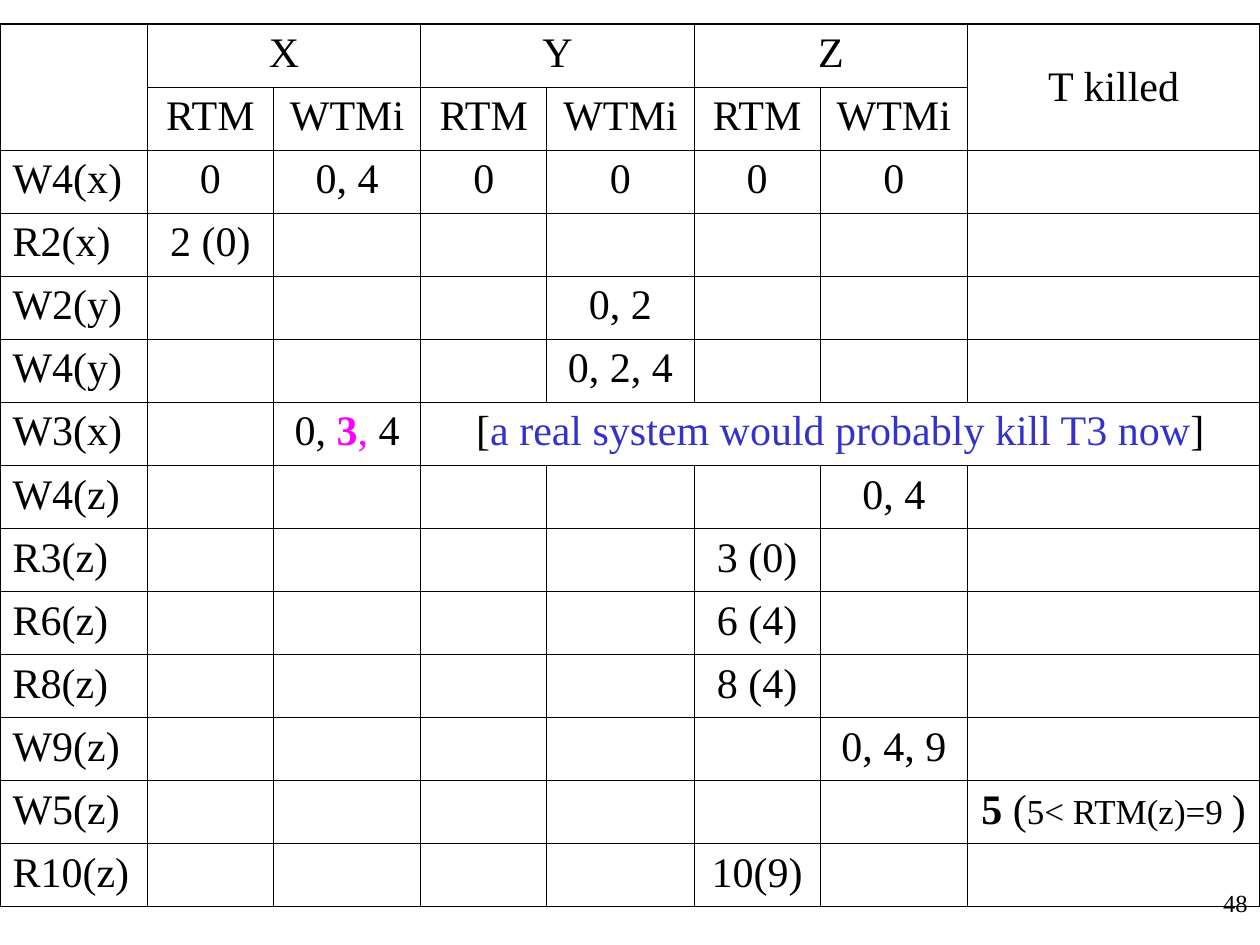
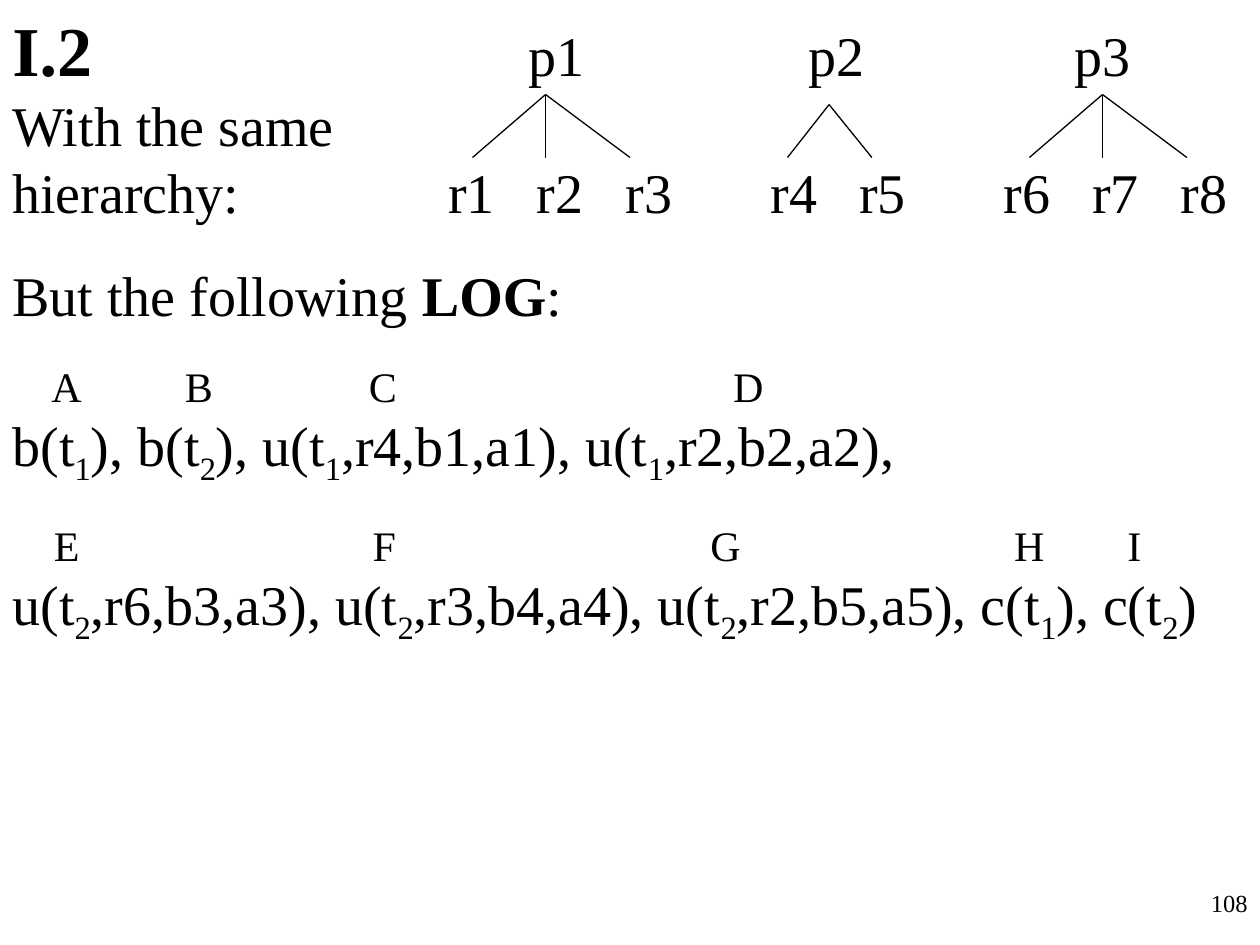
from lxml import etree
from pptx import Presentation
from pptx.dml.color import RGBColor
from pptx.enum.shapes import MSO_CONNECTOR as Connector
from pptx.enum.text import MSO_ANCHOR as Anchor, PP_ALIGN as Align
from pptx.oxml import parse_xml
from pptx.oxml.ns import nsdecls, qn
from pptx.util import Inches, Pt

BLACK = RGBColor(0x00, 0x00, 0x00)
MAGENTA = RGBColor(0xFF, 0x00, 0xFF)
BLUE = RGBColor(0x33, 0x33, 0xCC)
FONT = "Times New Roman"
THIN, THICK = 0.45, 1.08
TABLE_SIZE, BODY_SIZE, LETTER_SIZE = 24, 32, 24

COL_WIDTHS = [1.17, 1, 1.17, 1, 1.17, 1, 1.17, 2.32]
ROW_HEIGHT = 0.5
OPERATIONS = ["W4(x)", "R2(x)", "W2(y)", "W4(y)", "W3(x)", "W4(z)",
              "R3(z)", "R6(z)", "R8(z)", "W9(z)", "W5(z)", "R10(z)"]
TIMESTAMPS = {
    "W4(x)": {1: "0", 2: "0, 4", 3: "0", 4: "0", 5: "0", 6: "0"},
    "R2(x)": {1: "2 (0)"},
    "W2(y)": {4: "0, 2"},
    "W4(y)": {4: "0, 2, 4"},
    "W3(x)": {
        2: [("0, ", {}), ("3", {"color": MAGENTA, "bold": True}),
            (",", {"color": MAGENTA}), (" 4", {})],
        3: [("[", {}),
            ("a real system would probably kill T3 now", {"color": BLUE}),
            ("]", {})],
    },
    "W4(z)": {6: "0, 4"},
    "R3(z)": {5: "3 (0)"},
    "R6(z)": {5: "6 (4)"},
    "R8(z)": {5: "8 (4)"},
    "W9(z)": {6: "0, 4, 9"},
    "W5(z)": {7: [("5", {"bold": True}), (" (", {}),
                  ("5< RTM(z)=9 ", {"size": 20}), (")", {})]},
    "R10(z)": {5: "10(9)"},
}

LEAF_Y = 1.25
TREES = [
    ((4.33, 0.75), [3.75, 4.33, 5]),
    ((6.58, 0.83), [6.25, 6.92]),
    ((8.75, 0.75), [8.17, 8.75, 9.42]),
]


def add_run(p, text, size, bold=False, color=BLACK, sub=False):
    r = p.add_run()
    r.text = text
    r.font.name = FONT
    r.font.size = Pt(size)
    r.font.bold = bold
    r.font.color.rgb = color
    if sub:
        r.font._element.set("baseline", "-25000")


def add_runs(p, content, size):
    runs = [(content, {})] if isinstance(content, str) else content
    for text, style in runs:
        add_run(p, text, **{"size": size, **style})


def set_tabs(p, stops):
    tabs = etree.SubElement(p._p.get_or_add_pPr(), qn("a:tabLst"))
    for stop in stops:
        etree.SubElement(tabs, qn("a:tab"), pos=str(Inches(stop)), algn="l")


def add_text_box(slide, left, top, width, height):
    tf = slide.shapes.add_textbox(
        Inches(left), Inches(top), Inches(width), Inches(height)).text_frame
    tf.word_wrap = True
    return tf


def add_page_number(slide, number):
    p = add_text_box(slide, 7.92, 7, 2.08, 0.5).paragraphs[0]
    p.alignment = Align.RIGHT
    add_run(p, number, 14)


def add_line(slide, start, end):
    line = slide.shapes.add_connector(
        Connector.STRAIGHT, *(Inches(v) for v in (*start, *end)))
    line.line.color.rgb = BLACK
    line.line.width = Pt(0.75)
    etree.SubElement(line._element.spPr, qn("a:effectLst"))


def set_borders(cell, widths):
    tc_pr = cell._tc.get_or_add_tcPr()
    for i, (side, width) in enumerate(widths.items()):
        tc_pr.insert(i, parse_xml(
            f'<a:ln{side} {nsdecls("a")} w="{Pt(width)}"><a:solidFill>'
            f'<a:srgbClr val="{BLACK}"/></a:solidFill></a:ln{side}>'))


def fill_cell(cell, content, align=Align.CENTER):
    p = cell.text_frame.paragraphs[0]
    p.alignment = align
    add_runs(p, content, TABLE_SIZE)


def add_timestamp_table(slide):
    n_rows, n_cols = len(OPERATIONS) + 2, len(COL_WIDTHS)
    table = slide.shapes.add_table(
        n_rows, n_cols, Inches(0), Inches(0.19),
        Inches(sum(COL_WIDTHS)), Inches(ROW_HEIGHT * n_rows)).table
    table.first_row = table.horz_banding = False
    for col, width in zip(table.columns, COL_WIDTHS):
        col.width = Inches(width)
    for i, row in enumerate(table.rows):
        row.height = Inches(ROW_HEIGHT)
        for j, cell in enumerate(row.cells):
            cell.fill.background()
            set_borders(cell, {
                "L": THICK if j == 0 else THIN,
                "R": THICK if j == n_cols - 1 else THIN,
                "T": THICK if i == 0 else THIN,
                "B": THICK if i == n_rows - 1 else THIN,
            })

    for j in (0, n_cols - 1):
        table.cell(0, j).merge(table.cell(1, j))
    for j, item in zip((1, 3, 5), "XYZ"):
        table.cell(0, j).merge(table.cell(0, j + 1))
        fill_cell(table.cell(0, j), item)
        fill_cell(table.cell(1, j), "RTM")
        fill_cell(table.cell(1, j + 1), "WTMi")
    killed = table.cell(0, n_cols - 1)
    killed.vertical_anchor = Anchor.MIDDLE
    fill_cell(killed, "T killed")

    remark_row = OPERATIONS.index("W3(x)") + 2
    table.cell(remark_row, 3).merge(table.cell(remark_row, n_cols - 1))
    for i, operation in enumerate(OPERATIONS, 2):
        fill_cell(table.cell(i, 0), operation, Align.LEFT)
        for j, content in TIMESTAMPS[operation].items():
            fill_cell(table.cell(i, j), content)


def log_runs(text):
    head, *rest = text.split("t")
    runs = [(head + "t", {})]
    for i, part in enumerate(rest, 1):
        tail = part[1:] + ("t" if i < len(rest) else "")
        runs += [(part[0], {"sub": True}), (tail, {})]
    return runs


def add_log_text(slide):
    tf = add_text_box(slide, 0, 0, 10, 5.22)
    lines = [
        ([("I.2", {"size": 40, "bold": True}), ("\tp1\tp2\tp3", {})],
         BODY_SIZE, 0, [4.1, 6.32, 8.43]),
        ("With the same", BODY_SIZE, 0, []),
        ("hierarchy:\tr1\tr2\tr3\tr4\tr5\tr6\tr7\tr8", BODY_SIZE, 0,
         [3.46, 4.16, 4.87, 6.02, 6.72, 7.87, 8.57, 9.27]),
        ([("But the following ", {}), ("LOG", {"bold": True}), (":", {})],
         BODY_SIZE, 20.7, []),
        ("\tA\tB\tC\tD", LETTER_SIZE, 18.4, [0.31, 1.37, 2.83, 5.72]),
        (log_runs("b(t1), b(t2), u(t1,r4,b1,a1), u(t1,r2,b2,a2),"),
         BODY_SIZE, 0, []),
        ("\tE\tF\tG\tH\tI", LETTER_SIZE, 18.4,
         [0.33, 2.86, 5.54, 7.95, 8.85]),
        (log_runs("u(t2,r6,b3,a3), u(t2,r3,b4,a4), u(t2,r2,b5,a5), c(t1), c(t2)"),
         BODY_SIZE, 0, []),
    ]
    for i, (content, size, gap, stops) in enumerate(lines):
        p = tf.add_paragraph() if i else tf.paragraphs[0]
        if gap:
            p.space_before = Pt(gap)
        if stops:
            set_tabs(p, stops)
        add_runs(p, content, size)


def add_trees(slide):
    for apex, leaves in TREES:
        for x in leaves:
            add_line(slide, apex, (x, LEAF_Y))


def main():
    prs = Presentation()
    prs.slide_width, prs.slide_height = Inches(10), Inches(7.5)
    blank = prs.slide_layouts[6]

    slide = prs.slides.add_slide(blank)
    add_page_number(slide, "48")
    add_timestamp_table(slide)

    slide = prs.slides.add_slide(blank)
    add_page_number(slide, "108")
    add_log_text(slide)
    add_trees(slide)

    prs.save("out.pptx")


if __name__ == "__main__":
    main()
